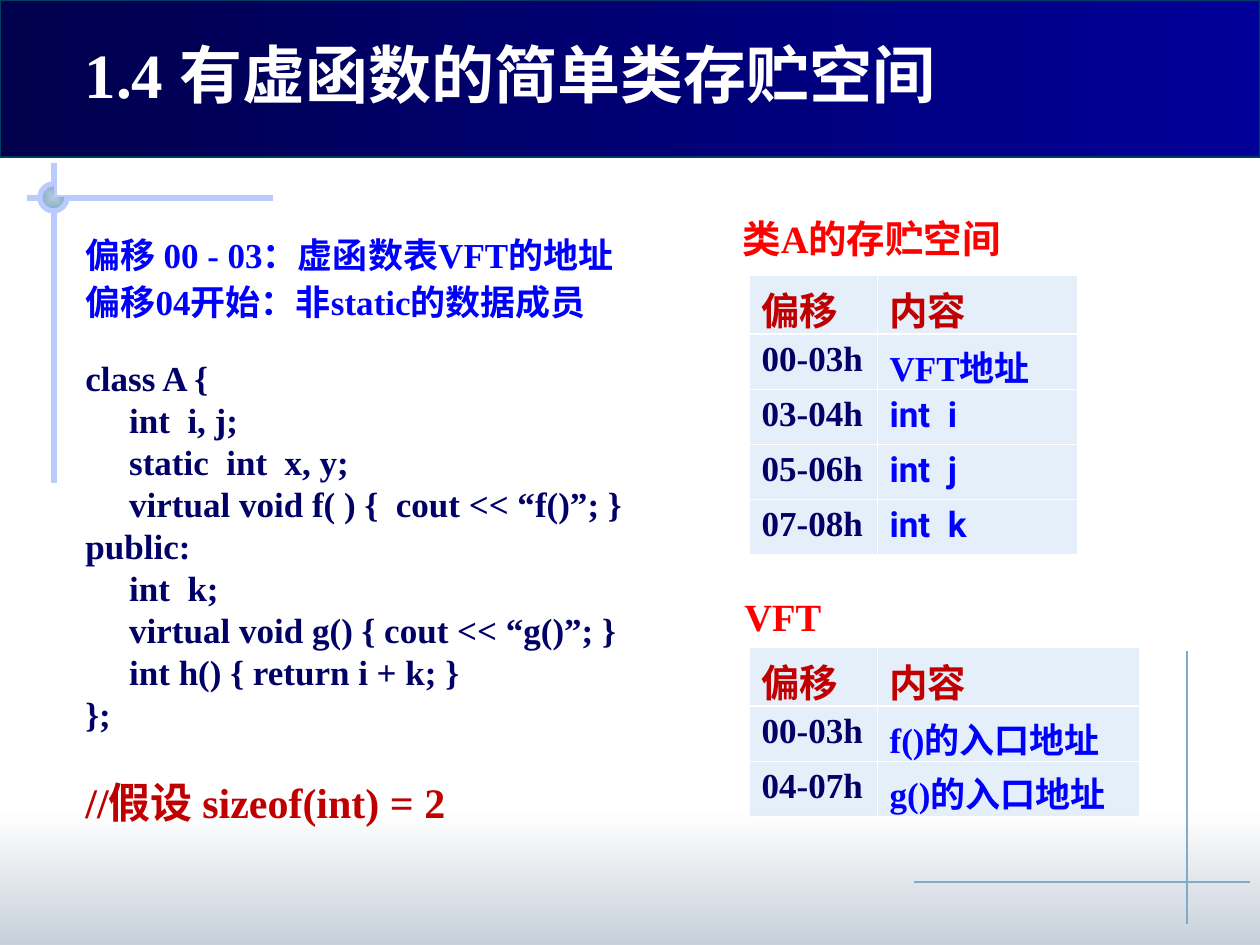
import pptx
import pptx.dml.color
import pptx.enum.shapes
import pptx.enum.text
import pptx.oxml
import pptx.oxml.ns
import pptx.util

SHAPES = pptx.enum.shapes.MSO_SHAPE
SERIF = "Times New Roman"
CJK = "Noto Sans CJK JP"
SANS = "Roboto"
NAVY, BLUE, RED, DARK_RED = "000066", "0000FF", "FF0000", "C00000"
AXIS, RULE = "BBCBFD", "81ABCB"
DRAWING = pptx.oxml.ns.nsdecls("a")

CODE = """class A {
     int  i, j;
     static  int  x, y;
     virtual void f( ) {  cout << “f()”; }
public:
     int  k;
     virtual void g() { cout << “g()”; }
     int h() { return i + k; }
};""".split("\n")


def px(length):
    return pptx.util.Emu(round(length * 914400 / 126))


def rgb(value):
    return pptx.dml.color.RGBColor.from_string(value)


def xml(text):
    return pptx.oxml.parse_xml(text)


def add_run(paragraph, text, size, color, font=SERIF):
    run = paragraph.add_run()
    run.text = text
    run.font.size = pptx.util.Pt(size)
    run.font.bold = True
    run.font.name = font
    run.font.color.rgb = rgb(color)
    if font == CJK:
        run.font._element.append(xml(f'<a:ea {DRAWING} typeface="{CJK}"/>'))


def add_text(slide, box, lines):
    frame = slide.shapes.add_textbox(*map(px, box)).text_frame
    frame.word_wrap = True
    for index, (runs, spacing, before) in enumerate(lines):
        paragraph = frame.paragraphs[0] if index == 0 else frame.add_paragraph()
        paragraph.line_spacing = spacing
        paragraph.space_before = pptx.util.Pt(before)
        for run in runs:
            add_run(paragraph, *run)


def add_shape(slide, kind, box, gradient=None, angle=0, line=None, width=0.75):
    shape = slide.shapes.add_shape(kind, *map(px, box))
    shape.shadow.inherit = False
    if gradient:
        shape.fill.gradient()
        shape.fill.gradient_angle = angle
        for stop, color in zip(shape.fill.gradient_stops, gradient):
            stop.color.rgb = rgb(color)
    else:
        shape.fill.background()
    if line:
        shape.line.color.rgb = rgb(line)
        shape.line.width = pptx.util.Pt(width)
    else:
        shape.line.fill.background()
    return shape


def add_line(slide, ends, color, width):
    line = slide.shapes.add_connector(
        pptx.enum.shapes.MSO_CONNECTOR.STRAIGHT, *map(px, ends))
    line.line.color.rgb = rgb(color)
    line.line.width = pptx.util.Pt(width)
    line._element.spPr.append(xml(f"<a:effectLst {DRAWING}/>"))


def add_knot(slide, box):
    knot = add_shape(slide, SHAPES.PIE, box, ("B6CBD6", RULE))
    gradient = knot._element.spPr.find(pptx.oxml.ns.qn("a:gradFill"))
    gradient.remove(gradient.find(pptx.oxml.ns.qn("a:lin")))
    gradient.append(xml(
        f'<a:path {DRAWING} path="rect">'
        '<a:fillToRect l="50000" t="50000" r="50000" b="50000"/></a:path>'))
    rim = add_shape(slide, SHAPES.ARC, box, line=AXIS, width=3)
    rim.adjustments[0] = 0
    rim.adjustments[1] = 162


def format_cell(cell, header_edges):
    properties = cell._tc.get_or_add_tcPr()
    for side in "LRTB":
        width = 18669 if side in header_edges else 5715
        properties.append(xml(
            f'<a:ln{side} {DRAWING} w="{width}"><a:solidFill>'
            f'<a:srgbClr val="FFFFFF"/></a:solidFill></a:ln{side}>'))
    cell.fill.solid()
    cell.fill.fore_color.rgb = rgb("9AC0EA")
    tint = properties.find(".//" + pptx.oxml.ns.qn("a:srgbClr") + "[@val='9AC0EA']")
    tint.append(xml(f'<a:alpha {DRAWING} val="25000"/>'))


def add_layout_table(slide, left, top, widths, entries, font):
    rows = [("偏移", "内容")] + entries
    heights = [59] + [55] * len(entries)
    table = slide.shapes.add_table(
        len(rows), 2, px(left), px(top), px(sum(widths)), px(sum(heights))).table
    table.first_row = table.horz_banding = False
    for column, width in zip(table.columns, widths):
        column.width = px(width)
    for r, (row, height) in enumerate(zip(rows, heights)):
        table.rows[r].height = px(height)
        for c, text in enumerate(row):
            cell = table.cell(r, c)
            format_cell(cell, {0: "B", 1: "T"}.get(r, ""))
            if r == 0:
                style = (22, DARK_RED)
            elif c == 0:
                style = (20, NAVY)
            else:
                style = (20, BLUE, font if text.startswith("int") else SERIF)
            add_run(cell.text_frame.paragraphs[0], text, *style)


def add_backdrop(slide):
    add_shape(slide, SHAPES.RECTANGLE, (0, 809, 1260, 136), ("FFFFFF", "C8D1DA"), 270)
    add_line(slide, (1187, 651, 1187, 924), RULE, 0.75)
    add_line(slide, (273, 198, 27, 198), AXIS, 3)
    add_line(slide, (54, 163, 54, 483), AXIS, 3)
    add_knot(slide, (40, 184, 27, 27))
    add_shape(slide, SHAPES.RECTANGLE, (0, 0, 1260, 157), ("00004D", "000099"), 0, "003D62")
    add_line(slide, (914, 882, 1250, 882), RULE, 0.75)


def place_title(slide, text):
    title = slide.shapes.title
    title.left, title.top, title.width, title.height = map(px, (72, 44, 893, 73))
    frame = title.text_frame
    frame.auto_size = pptx.enum.text.MSO_AUTO_SIZE.NONE
    frame.vertical_anchor = pptx.enum.text.MSO_ANCHOR.TOP
    paragraph = frame.paragraphs[0]
    paragraph.alignment = pptx.enum.text.PP_ALIGN.LEFT
    paragraph.line_spacing = 0.8
    add_run(paragraph, text, 36, "FFFFFF")
    slide.shapes._spTree.append(title._element)


def main():
    deck = pptx.Presentation()
    deck.slide_width, deck.slide_height = px(1260), px(945)
    slide = deck.slides.add_slide(deck.slide_layouts[5])
    add_backdrop(slide)
    place_title(slide, "1.4 有虚函数的简单类存贮空间")

    offsets = ["偏移 00 - 03：虚函数表VFT的地址", "偏移04开始：非static的数据成员"]
    lines = [([(text, 20, BLUE)], 1.14, 0) for text in offsets]
    lines += [([(text, 20, NAVY)], 1, 0 if n else 19) for n, text in enumerate(CODE)]
    assumption = [("//", 24, DARK_RED), ("假设 ", 24, DARK_RED, CJK),
                  ("sizeof(int) = 2", 24, DARK_RED)]
    lines.append((assumption, 1, 24))
    add_text(slide, (73, 221, 587, 612), lines)

    object_heading = [("类", 22, RED, CJK), ("A", 22, RED), ("的存贮空间", 22, RED, CJK)]
    add_text(slide, (730, 218, 318, 50), [(object_heading, 0.8, 0)])
    add_layout_table(slide, 749, 275, (128, 200), [
        ("00-03h", "VFT地址"), ("03-04h", "int  i"),
        ("05-06h", "int  j"), ("07-08h", "int  k")], SANS)

    add_text(slide, (732, 596, 318, 50), [([("VFT", 22, RED)], 0.8, 0)])
    add_layout_table(slide, 749, 647, (128, 262), [
        ("00-03h", "f()的入口地址"), ("04-07h", "g()的入口地址")], SERIF)

    deck.save("out.pptx")


if __name__ == "__main__":
    main()
